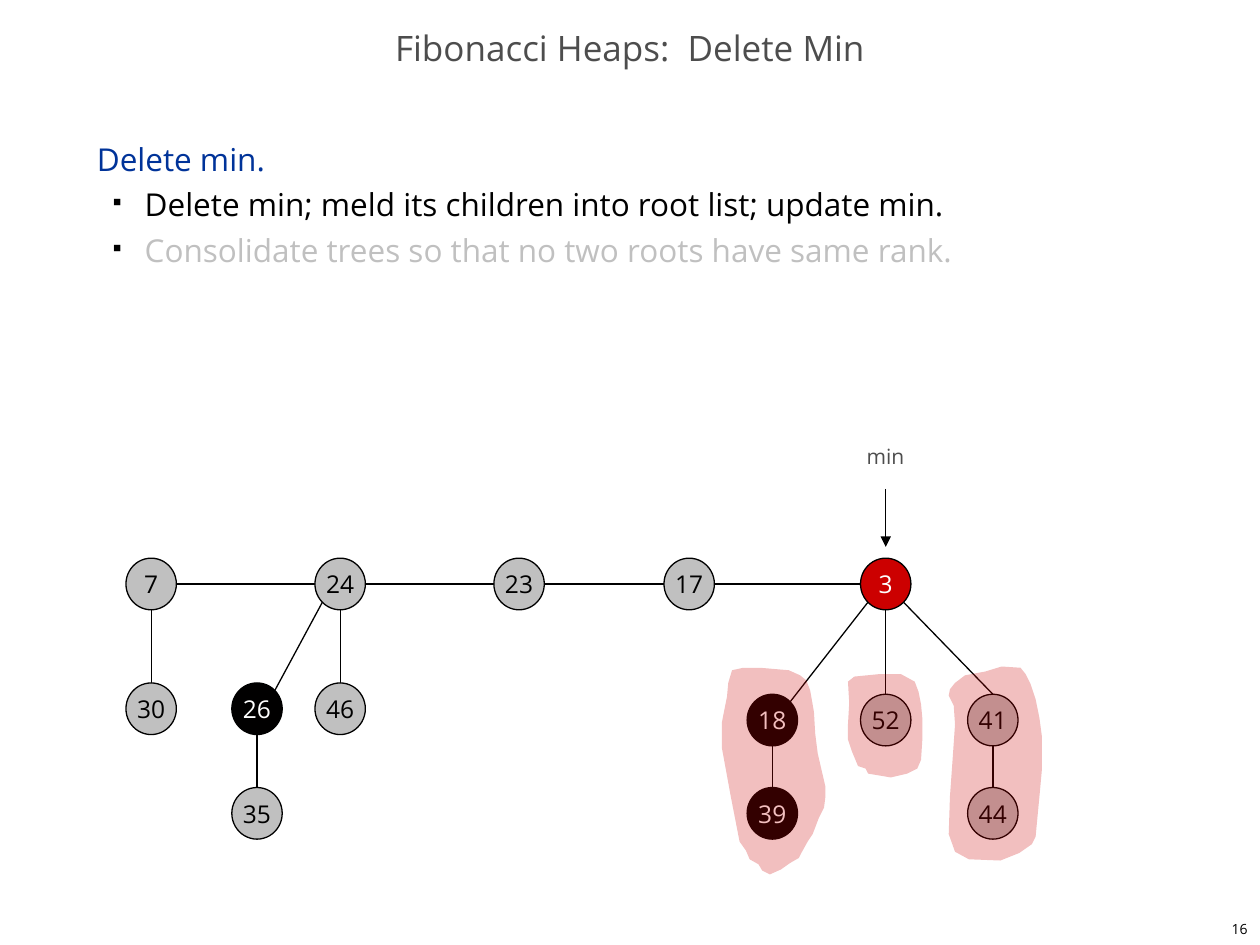
"""Build the slide on deleting the minimum of a Fibonacci heap."""
from math import hypot

from lxml.etree import SubElement
from pptx import Presentation
from pptx.dml.color import RGBColor
from pptx.enum.shapes import MSO_CONNECTOR, MSO_SHAPE
from pptx.enum.text import MSO_ANCHOR, PP_ALIGN
from pptx.oxml.ns import qn
from pptx.util import Pt

PX = 9144
NODE_WIDTH, NODE_HEIGHT = 40, 41
BLACK, WHITE, GRAY, DARK, RED = "000000", "FFFFFF", "C0C0C0", "4D4D4D", "CC0000"

NODES = {
    "7": (100, 443), "24": (250, 443), "23": (392, 443), "17": (527, 443), "3": (683, 443),
    "30": (100, 542), "26": (184, 542), "46": (250, 542), "35": (184, 625),
    "18": (593, 551), "52": (683, 551), "41": (768, 551), "39": (593, 625), "44": (768, 625),
}
NODE_COLORS = {
    "3": (RED, WHITE),
    **dict.fromkeys(("18", "39", "26"), ("010000", WHITE)),
}
LEFT, RIGHT, TOP, BOTTOM = (-1, 0), (1, 0), (0, -1), (0, 1)
LOWER_LEFT, LOWER_RIGHT, UPPER_RIGHT = (-1, 1), (1, 1), (1, -1)
ROOTS = ["7", "24", "23", "17", "3"]
EDGES = [(left, RIGHT, right, LEFT) for left, right in zip(ROOTS, ROOTS[1:])]
EDGES += [
    (parent, BOTTOM, child, TOP)
    for parent, child in [("7", "30"), ("24", "46"), ("26", "35"),
                          ("3", "52"), ("18", "39"), ("41", "44")]
]
EDGES += [
    ("24", LOWER_LEFT, "26", UPPER_RIGHT),
    ("3", LOWER_LEFT, "18", UPPER_RIGHT),
    ("3", LOWER_RIGHT, "41", TOP),
]
SUBTREE_OUTLINES = [
    [(581, 532), (590, 530), (603, 530), (626, 532), (635, 536), (640, 540), (643, 548),
     (646, 565), (647, 582), (649, 598), (655, 624), (655, 633), (654, 641), (650, 649),
     (645, 662), (641, 668), (636, 677), (634, 681), (627, 685), (620, 690), (611, 694),
     (605, 691), (602, 686), (595, 682), (592, 675), (587, 668), (580, 632), (573, 594),
     (573, 573), (577, 553), (578, 542)],
    [(673, 541), (678, 537), (698, 535), (715, 535), (726, 541), (729, 549), (731, 559),
     (732, 570), (732, 587), (731, 603), (728, 610), (720, 614), (707, 617), (689, 614),
     (687, 610), (681, 608), (676, 596), (673, 587), (673, 575), (674, 558)],
    [(754, 547), (758, 542), (766, 536), (782, 533), (795, 529), (810, 530), (814, 535),
     (818, 543), (822, 555), (825, 570), (827, 585), (827, 610), (825, 632), (823, 653),
     (822, 664), (819, 670), (809, 677), (794, 683), (769, 682), (758, 676), (753, 662),
     (754, 632), (756, 604), (758, 575), (757, 560), (753, 552)],
]


def color(value):
    return RGBColor.from_string(value)


class SlideBuilder:
    """Hold the style and the current slide, and draw each kind of element."""

    font_name = "Open Sans"
    line_width = Pt(0.75)

    def __init__(self, slide):
        self.slide = slide

    def style(self, paragraph, size, text_color, align=PP_ALIGN.LEFT):
        paragraph.alignment = align
        paragraph.font.name = self.font_name
        paragraph.font.size = Pt(size)
        paragraph.font.color.rgb = color(text_color)

    def text(self, box, lines, size, align=PP_ALIGN.LEFT, anchor=MSO_ANCHOR.TOP,
             wrap=True, spacing=None):
        shape = self.slide.shapes.add_textbox(*(value * PX for value in box))
        frame = shape.text_frame
        frame.word_wrap = wrap
        frame.vertical_anchor = anchor
        for index, (content, text_color, bulleted) in enumerate(lines):
            paragraph = frame.add_paragraph() if index else frame.paragraphs[0]
            paragraph.text = content
            if bulleted:
                self.bullet(paragraph)
            paragraph.line_spacing = spacing
            self.style(paragraph, size, text_color, align)

    def bullet(self, paragraph):
        paragraph.level = 1
        properties = paragraph._p.get_or_add_pPr()
        properties.set("marL", str(38 * PX))
        properties.set("indent", str(-25 * PX))
        bullet_color = SubElement(properties, qn("a:buClr"))
        SubElement(bullet_color, qn("a:srgbClr"), val=BLACK)
        SubElement(properties, qn("a:buSzPct"), val="35000")
        SubElement(properties, qn("a:buChar"), char="■")

    def node(self, label, left, top, fill=GRAY, text_color=BLACK):
        shape = self.slide.shapes.add_shape(
            MSO_SHAPE.OVAL, left * PX, top * PX, NODE_WIDTH * PX, NODE_HEIGHT * PX)
        shape.shadow.inherit = False
        shape.fill.solid()
        shape.fill.fore_color.rgb = color(fill)
        shape.line.color.rgb = color(BLACK)
        shape.line.width = self.line_width
        frame = shape.text_frame
        frame.word_wrap = False
        frame.vertical_anchor = MSO_ANCHOR.MIDDLE
        frame.text = label
        self.style(frame.paragraphs[0], 14, text_color, PP_ALIGN.CENTER)

    def line(self, start, end, arrow=False):
        connector = self.slide.shapes.add_connector(
            MSO_CONNECTOR.STRAIGHT, *(round(value * PX) for value in (*start, *end)))
        connector.line.color.rgb = color(BLACK)
        connector.line.width = self.line_width
        if arrow:
            SubElement(connector.line._get_or_add_ln(), qn("a:tailEnd"), type="triangle")
        SubElement(connector._element.spPr, qn("a:effectLst"))

    def highlight(self, points):
        builder = self.slide.shapes.build_freeform(*points[0], scale=PX)
        builder.add_line_segments(points[1:], close=True)
        shape = builder.convert_to_shape()
        shape.shadow.inherit = False
        shape.fill.solid()
        shape.fill.fore_color.rgb = color(RED)
        shape.line.fill.background()
        fill_color = shape._element.spPr.find(".//" + qn("a:srgbClr"))
        SubElement(fill_color, qn("a:alpha"), val="25000")


def rim_point(label, direction):
    left, top = NODES[label]
    horizontal, vertical = direction
    length = hypot(horizontal, vertical)
    return (left + NODE_WIDTH / 2 * (1 + horizontal / length),
            top + NODE_HEIGHT / 2 * (1 + vertical / length))


def main():
    presentation = Presentation()
    presentation.slide_width, presentation.slide_height = 1000 * PX, 750 * PX
    builder = SlideBuilder(presentation.slides.add_slide(presentation.slide_layouts[6]))

    builder.text((792, 725, 208, 25), [("16", BLACK, False)], 8, PP_ALIGN.RIGHT,
                 MSO_ANCHOR.MIDDLE, wrap=False)
    builder.text((0, 17, 1000, 50), [("Fibonacci Heaps:  Delete Min", DARK, False)], 20,
                 PP_ALIGN.CENTER, MSO_ANCHOR.MIDDLE, spacing=0.7)
    builder.text((67, 100, 858, 592), [
        ("Delete min.", "003399", False),
        ("Delete min; meld its children into root list; update min.", BLACK, True),
        ("Consolidate trees so that no two roots have same rank.", GRAY, True),
    ], 18, spacing=Pt(26))

    for parent, parent_side, child, child_side in EDGES:
        builder.line(rim_point(parent, parent_side), rim_point(child, child_side))
    for label, position in NODES.items():
        builder.node(label, *position, *NODE_COLORS.get(label, ()))

    builder.text((678, 347, 50, 30), [("min", DARK, False)], 12, wrap=False)
    builder.line((703, 388), (703, 434), arrow=True)
    for points in SUBTREE_OUTLINES:
        builder.highlight(points)
    presentation.save("out.pptx")


if __name__ == "__main__":
    main()
